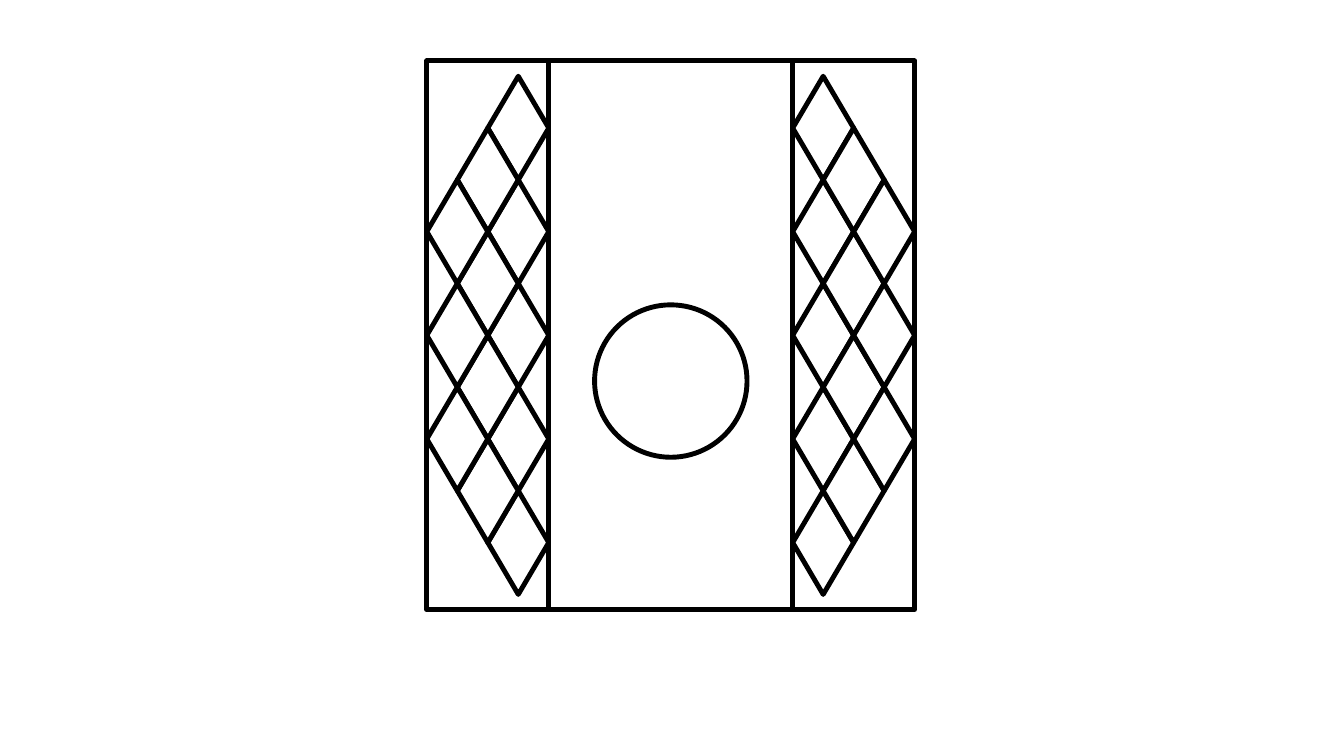
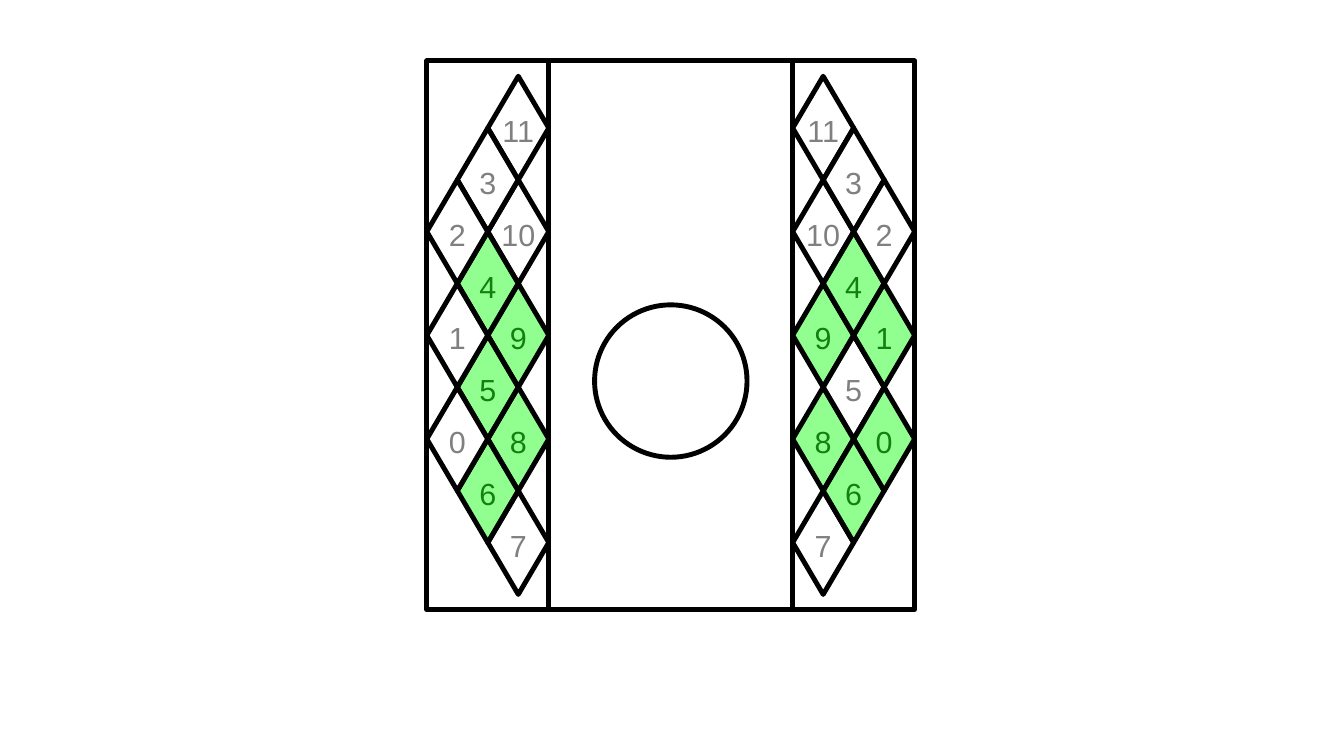
from dataclasses import dataclass
from typing import Optional

from lxml import etree
from pptx import Presentation
from pptx import util as u
from pptx.dml.color import RGBColor
from pptx.enum import shapes, text
from pptx.oxml import ns
from pptx.shapes.autoshape import Shape
from pptx.slide import Slide


@dataclass(frozen=True)
class Theme:
    ink: str = "000000"
    paper: str = "FFFFFF"
    lit: str = "23FF23"
    font: str = "Arial"
    label_size: float = 18
    line_width: float = 2.89
    veil: int = 50


@dataclass(frozen=True)
class Grid:
    col: float = 0.25
    row: float = 0.425
    top: float = 0.5
    height: float = 4.5
    lattice_top: float = 0.625
    label_drop: float = 0.01


@dataclass(frozen=True)
class Panel:
    left: float
    inner_edge: float
    outward: int
    lit: frozenset[int]


@dataclass(frozen=True)
class Cell:
    number: int
    column: int
    row: int


@dataclass(frozen=True)
class Box:
    left: float
    top: float
    width: float
    height: float

    def emu(self) -> tuple[u.Emu, ...]:
        return tuple(u.Inches(v) for v in (self.left, self.top, self.width, self.height))


THEME = Theme()
GRID = Grid()
SLIDE_SIZE = (11.02, 6.2)
PANEL_WIDTH = 4 * GRID.col
CENTRE_STRIP = Box(4.5, GRID.top, 8 * GRID.col, GRID.height)
CIRCLE = Box(4.875, 2.5, 5 * GRID.col, 5 * GRID.col)
PANELS = (
    Panel(6.5, 6.5, 1, frozenset({0, 1, 4, 6, 8, 9})),
    Panel(3.5, 4.5, -1, frozenset({4, 5, 6, 8, 9})),
)
COLUMNS = ((11, 10, 9, 8, 7), (3, 4, 5, 6), (2, 1, 0))
CELLS = tuple(
    Cell(number, column, column + 2 * i)
    for column, numbers in enumerate(COLUMNS, start=0)
    for i, number in enumerate(numbers)
)


def cell_centre(panel: Panel, cell: Cell) -> tuple[float, float]:
    x = panel.inner_edge + panel.outward * (cell.column + 1) * GRID.col
    y = GRID.lattice_top + (cell.row + 1) * GRID.row
    return x, y


def add_outline(slide: Slide, kind: shapes.MSO_SHAPE, box: Box,
                fill: Optional[str], alpha: int = 100) -> Shape:
    sp = slide.shapes.add_shape(kind, *box.emu())
    sp.shadow.inherit = False
    sp.line.color.rgb = RGBColor.from_string(THEME.ink)
    sp.line.width = u.Pt(THEME.line_width)
    if fill is None:
        sp.fill.background()
        return sp
    sp.fill.solid()
    sp.fill.fore_color.rgb = RGBColor.from_string(fill)
    if alpha < 100:
        color = sp._element.spPr.find(ns.qn("a:solidFill"))[0]
        etree.SubElement(color, ns.qn("a:alpha"), val=str(alpha * 1000))
    return sp


def add_label(slide: Slide, panel: Panel, cell: Cell) -> None:
    x, y = cell_centre(panel, cell)
    label = str(cell.number)
    width, height = 0.2 + 0.18 * len(label), 0.38
    box = Box(x - width / 2, y - height / 2 + GRID.label_drop, width, height)
    tf = slide.shapes.add_textbox(*box.emu()).text_frame
    tf.word_wrap = True
    p = tf.paragraphs[0]
    p.text = label
    p.alignment = text.PP_ALIGN.CENTER
    p.font.name = THEME.font
    p.font.size = u.Pt(THEME.label_size)
    p.font.color.rgb = RGBColor.from_string(THEME.ink)


def add_diamond(slide: Slide, panel: Panel, cell: Cell, numbered: bool) -> None:
    x, y = cell_centre(panel, cell)
    box = Box(x - GRID.col, y - GRID.row, 2 * GRID.col, 2 * GRID.row)
    fill = THEME.lit if numbered and cell.number in panel.lit else THEME.paper
    add_outline(slide, shapes.MSO_SHAPE.DIAMOND, box, fill, THEME.veil if numbered else 100)


def add_board(prs: Presentation, numbered: bool) -> None:
    slide = prs.slides.add_slide(prs.slide_layouts.get_by_name("Blank"))
    if numbered:
        for panel in PANELS:
            for cell in CELLS:
                add_label(slide, panel, cell)
    backing = None if numbered else THEME.paper
    add_outline(slide, shapes.MSO_SHAPE.RECTANGLE, CENTRE_STRIP, backing)
    add_outline(slide, shapes.MSO_SHAPE.OVAL, CIRCLE, backing)
    for panel in PANELS:
        frame = Box(panel.left, GRID.top, PANEL_WIDTH, GRID.height)
        add_outline(slide, shapes.MSO_SHAPE.RECTANGLE, frame, backing)
        for cell in CELLS:
            add_diamond(slide, panel, cell, numbered)


def main() -> None:
    prs = Presentation()
    prs.slide_width, prs.slide_height = (u.Inches(v) for v in SLIDE_SIZE)
    for numbered in (False, True):
        add_board(prs, numbered)
    prs.save("out.pptx")


if __name__ == "__main__":
    main()
